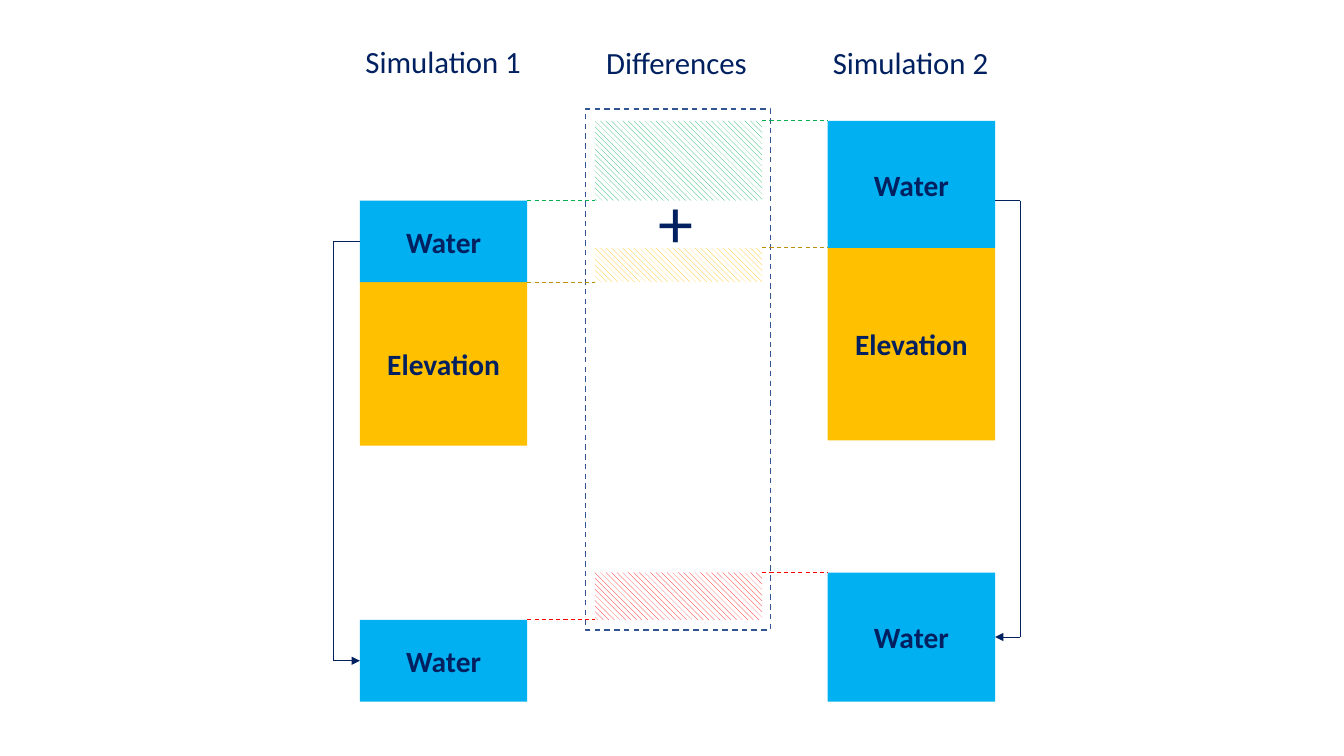
import pptx
import pptx.dml.color
import pptx.enum.dml
import pptx.enum.shapes
import pptx.enum.text
import pptx.oxml.ns
import pptx.util
from lxml import etree
from pptx.util import Inches

NAVY, WATER, ELEVATION = "002060", "00B0F0", "FFC000"
COLUMN_WIDTH = 1.66
SIM1_LEFT, DIFF_LEFT, SIM2_LEFT = 3.57, 5.9, 8.21
TRUNK1_X, TRUNK2_X = 3.31, 10.12
LEFT_SIDE, RIGHT_SIDE = 1, 3

# top, bottom, hatch colour, guide line colour
DIFFERENCES = [
    (1.2, 1.99, "00B050", "00B050"),
    (2.46, 2.8, "FFC000", "BF9000"),
    (5.68, 6.15, "FF0000", "FF0000"),
]


def rgb(value):
    return pptx.dml.color.RGBColor.from_string(value)


def write(frame, text, size, bold=False, align=pptx.enum.text.PP_ALIGN.CENTER):
    frame.word_wrap = True
    paragraph = frame.paragraphs[0]
    paragraph.alignment = align
    run = paragraph.add_run()
    run.text = text
    run.font.name = "Calibri"
    run.font.size = pptx.util.Pt(size)
    run.font.bold = bold
    run.font.color.rgb = rgb(NAVY)


def add_label(slide, text, left, top, width, height, size,
              align=pptx.enum.text.PP_ALIGN.CENTER):
    label = slide.shapes.add_textbox(
        Inches(left), Inches(top), Inches(width), Inches(height))
    write(label.text_frame, text, size, align=align)
    label.text_frame.auto_size = pptx.enum.text.MSO_AUTO_SIZE.SHAPE_TO_FIT_TEXT
    return label


def add_rectangle(slide, left, top, width, height):
    rectangle = slide.shapes.add_shape(
        pptx.enum.shapes.MSO_SHAPE.RECTANGLE,
        Inches(left), Inches(top), Inches(width), Inches(height))
    rectangle.shadow.inherit = False
    rectangle.line.fill.background()
    return rectangle


def add_block(slide, text, left, top, height, colour):
    block = add_rectangle(slide, left, top, COLUMN_WIDTH, height)
    block.fill.solid()
    block.fill.fore_color.rgb = rgb(colour)
    block.text_frame.vertical_anchor = pptx.enum.text.MSO_ANCHOR.MIDDLE
    write(block.text_frame, text, 21, bold=True)
    return block


def add_hatch(slide, top, bottom, colour):
    hatch = add_rectangle(slide, DIFF_LEFT, top, COLUMN_WIDTH, bottom - top)
    hatch.fill.patterned()
    hatch.fill.pattern = pptx.enum.dml.MSO_PATTERN.WIDE_DOWNWARD_DIAGONAL
    hatch.fill.fore_color.rgb = rgb(colour)
    hatch.fill.back_color.rgb = rgb("FFFFFF")


def add_frame(slide, left, top, width, height):
    frame = add_rectangle(slide, left, top, width, height)
    frame.fill.background()
    frame.line.color.rgb = rgb("325491")
    frame.line.width = pptx.util.Pt(1)
    frame.line.dash_style = pptx.enum.dml.MSO_LINE.DASH


def add_line(slide, x1, y1, x2, y2, colour, dashed=False, arrow=False):
    """Draw a thin straight line; an arrow points at its first end."""
    line = slide.shapes.add_connector(
        pptx.enum.shapes.MSO_CONNECTOR.STRAIGHT,
        Inches(x1), Inches(y1), Inches(x2), Inches(y2))
    line.line.color.rgb = rgb(colour)
    line.line.width = pptx.util.Pt(0.75)
    if dashed:
        line.line.dash_style = pptx.enum.dml.MSO_LINE.DASH
    if arrow:
        head = etree.SubElement(
            line.line._get_or_add_ln(), pptx.oxml.ns.qn("a:headEnd"))
        head.set("type", "triangle")
    etree.SubElement(line._element.spPr, pptx.oxml.ns.qn("a:effectLst"))
    return line


def add_bracket(slide, block_x, trunk_x, start_y, end_y):
    """Lead from one block to another around their outer side."""
    start = add_line(slide, block_x, start_y, trunk_x, start_y, NAVY)
    end = add_line(slide, block_x, end_y, trunk_x, end_y, NAVY, arrow=True)
    add_line(slide, trunk_x, start_y, trunk_x, end_y, NAVY)
    return start, end


def add_difference(slide, top, bottom, hatch_colour, guide_colour):
    """Hatch a height difference, with guides to the two simulations."""
    add_hatch(slide, top, bottom, hatch_colour)
    add_line(slide, SIM1_LEFT + COLUMN_WIDTH, bottom, DIFF_LEFT, bottom,
             guide_colour, dashed=True)
    add_line(slide, DIFF_LEFT + COLUMN_WIDTH, top, SIM2_LEFT, top,
             guide_colour, dashed=True)


def main():
    presentation = pptx.Presentation()
    presentation.slide_width = Inches(13.33)
    presentation.slide_height = Inches(7.5)
    slide = presentation.slides.add_slide(presentation.slide_layouts[6])

    add_label(slide, "Simulation 1", 3.49, 0.37, 1.81, 0.47, 22)
    add_label(slide, "Differences", 5.88, 0.38, 1.66, 0.47, 22)
    add_label(slide, "Simulation 2", 8.14, 0.38, 1.78, 0.47, 22)

    add_block(slide, "Elevation", SIM1_LEFT, 2.8, 1.62, ELEVATION)
    water1 = add_block(slide, "Water", SIM1_LEFT, 1.99, 0.81, WATER)
    lowered1 = add_block(slide, "Water", SIM1_LEFT, 6.15, 0.81, WATER)
    add_block(slide, "Elevation", SIM2_LEFT, 2.46, 1.91, ELEVATION)
    add_block(slide, "Water", SIM2_LEFT, 1.2, 1.26, WATER)
    lowered2 = add_block(slide, "Water", SIM2_LEFT, 5.68, 1.28, WATER)

    start1, end1 = add_bracket(
        slide, SIM1_LEFT, TRUNK1_X, 1.99 + 0.81 / 2, 6.15 + 0.81 / 2)
    start1.begin_connect(water1, LEFT_SIDE)
    end1.begin_connect(lowered1, LEFT_SIDE)
    _, end2 = add_bracket(
        slide, SIM2_LEFT + COLUMN_WIDTH, TRUNK2_X, 1.99, 5.68 + 1.28 / 2)
    end2.begin_connect(lowered2, RIGHT_SIDE)

    add_frame(slide, 5.81, 1.08, 1.83, 5.17)
    for difference in DIFFERENCES:
        add_difference(slide, *difference)
    plus = add_label(slide, "+", 6.43, 1.72, 0.53, 0.94, 50,
                     align=pptx.enum.text.PP_ALIGN.LEFT)
    plus.text_frame.vertical_anchor = pptx.enum.text.MSO_ANCHOR.MIDDLE

    presentation.save("out.pptx")


if __name__ == "__main__":
    main()
